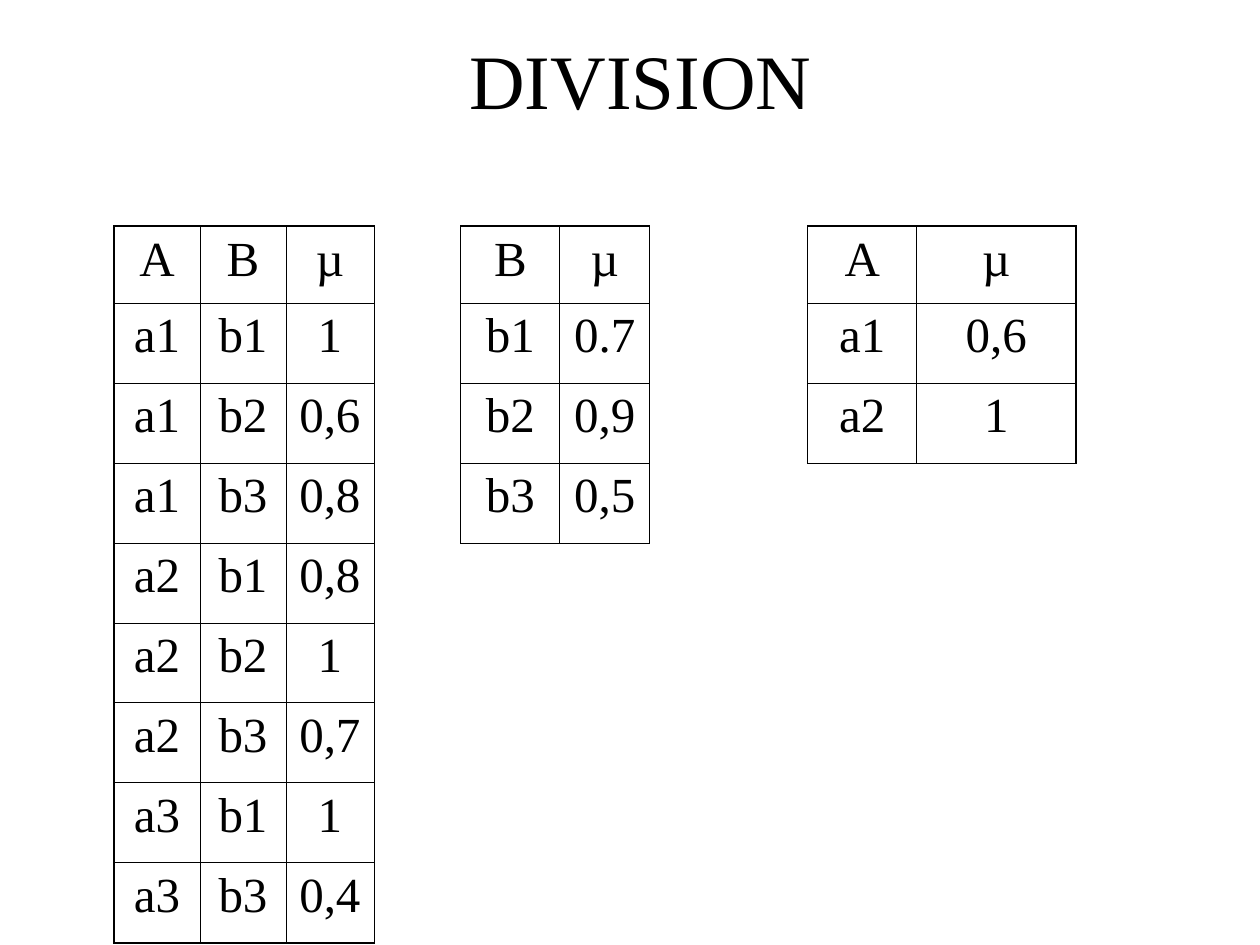
"""Build a slide showing a fuzzy relational division: dividend, divisor and quotient."""
from lxml.etree import SubElement
from pptx import Presentation
from pptx.dml.color import RGBColor
from pptx.enum.text import MSO_ANCHOR, PP_ALIGN
from pptx.oxml.ns import qn
from pptx.util import Emu, Pt

TITLE = "DIVISION"
DIVIDEND = [
    ("A", "B", "µ"),
    ("a1", "b1", "1"),
    ("a1", "b2", "0,6"),
    ("a1", "b3", "0,8"),
    ("a2", "b1", "0,8"),
    ("a2", "b2", "1"),
    ("a2", "b3", "0,7"),
    ("a3", "b1", "1"),
    ("a3", "b3", "0,4"),
]
DIVISOR = [("B", "µ"), ("b1", "0.7"), ("b2", "0,9"), ("b3", "0,5")]
QUOTIENT = [("A", "µ"), ("a1", "0,6"), ("a2", "1")]
RELATIONS = [(0, DIVIDEND), (4, DIVISOR), (7, QUOTIENT)]

COLUMN_WIDTHS = [86, 86, 88, 87, 99, 90, 158, 109, 159]
ROW_HEIGHTS = [77] + [80] * 8
TABLE_LEFT, TABLE_TOP = 114, 226
TITLE_BOX = (105, 0, 1071, 157)

BLACK = RGBColor(0, 0, 0)
FONT = "Times New Roman"
THIN, THICK = Pt(0.45), Pt(1.08)
SIDES = {"a:lnL": (0, -1), "a:lnR": (0, 1), "a:lnT": (-1, 0), "a:lnB": (1, 0)}


def px(length):
    return Emu(round(length * 914400 / 126))


def format_paragraph(paragraph, size):
    paragraph.alignment = PP_ALIGN.CENTER
    paragraph.font.name = FONT
    paragraph.font.size = Pt(size)
    paragraph.font.color.rgb = BLACK


def add_border(cell, side, width):
    line = SubElement(cell._tc.get_or_add_tcPr(), qn(side), w=str(width))
    if width:
        fill = SubElement(line, qn("a:solidFill"))
        SubElement(fill, qn("a:srgbClr"), val=str(BLACK))
    else:
        SubElement(line, qn("a:noFill"))


def border_width(texts, row, column, side):
    row_step, column_step = SIDES[side]
    neighbour = (row + row_step, column + column_step)
    if (row, column) not in texts and neighbour not in texts:
        return 0
    inside = 0 <= neighbour[0] < len(ROW_HEIGHTS) and 0 <= neighbour[1] < len(COLUMN_WIDTHS)
    return THIN if inside else THICK


def add_title(slide):
    title = slide.shapes.title
    title.left, title.top, title.width, title.height = map(px, TITLE_BOX)
    title.text_frame.text = TITLE
    title.text_frame.vertical_anchor = MSO_ANCHOR.MIDDLE
    format_paragraph(title.text_frame.paragraphs[0], 44)


def add_relations(slide):
    texts = {
        (row, first_column + offset): text
        for first_column, relation in RELATIONS
        for row, values in enumerate(relation)
        for offset, text in enumerate(values)
    }
    table = slide.shapes.add_table(
        len(ROW_HEIGHTS), len(COLUMN_WIDTHS), px(TABLE_LEFT), px(TABLE_TOP),
        px(sum(COLUMN_WIDTHS)), px(sum(ROW_HEIGHTS)),
    ).table
    table.first_row = table.horz_banding = False
    for column, width in zip(table.columns, COLUMN_WIDTHS):
        column.width = px(width)
    for row, height in zip(table.rows, ROW_HEIGHTS):
        row.height = px(height)
    for row in range(len(ROW_HEIGHTS)):
        for column in range(len(COLUMN_WIDTHS)):
            cell = table.cell(row, column)
            for side in SIDES:
                add_border(cell, side, border_width(texts, row, column, side))
            cell.fill.background()
            if (row, column) in texts:
                cell.text_frame.text = texts[row, column]
                paragraph = cell.text_frame.paragraphs[0]
                format_paragraph(paragraph, 28)
                paragraph.space_before = Pt(7)


def main():
    presentation = Presentation()
    presentation.slide_width, presentation.slide_height = px(1260), px(945)
    slide = presentation.slides.add_slide(presentation.slide_layouts[5])
    add_title(slide)
    add_relations(slide)
    presentation.save("out.pptx")


if __name__ == "__main__":
    main()
